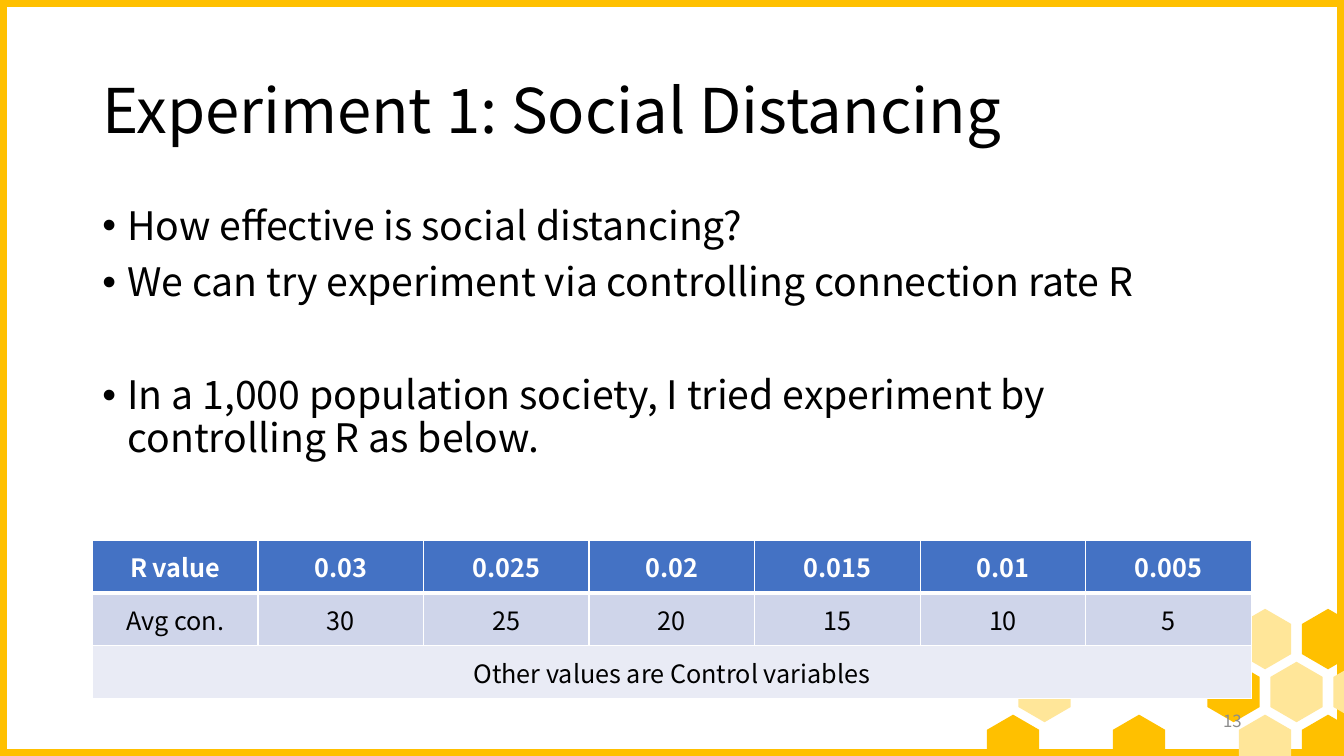
from dataclasses import dataclass

from pptx import Presentation
from pptx.dml.color import RGBColor as RGB
from pptx.enum.shapes import MSO_SHAPE as Shape
from pptx.enum.text import MSO_ANCHOR as Anchor, PP_ALIGN as Align
from pptx.oxml.ns import qn
from pptx.util import Pt
from lxml.etree import SubElement


@dataclass(frozen=True)
class Theme:
    font: str = "Noto Sans CJK KR"
    text: str = "000000"
    white: str = "FFFFFF"
    muted: str = "8C8C8C"
    honey: str = "FFC000"
    wax: str = "FFE699"
    header: str = "4472C4"
    band: str = "CFD5EA"
    pale: str = "E9EBF5"
    title_size: int = 44
    body_size: int = 28
    table_size: int = 18
    number_size: int = 12


class SlideBuilder:
    """Draws styled elements on the current slide, with lengths in points."""

    def __init__(self, slide, theme):
        self.s = slide
        self.theme = theme

    def run(self, p, text, size, color, bold=False):
        r = p.add_run()
        r.text = text
        r.font.name = self.theme.font
        r.font.size = Pt(size)
        r.font.bold = bold
        r.font.color.rgb = RGB.from_string(color)

    def textbox(self, x, y, w, h, anchor):
        tf = self.s.shapes.add_textbox(Pt(x), Pt(y), Pt(w), Pt(h)).text_frame
        tf.word_wrap = True
        tf.vertical_anchor = anchor
        return tf

    def line_of_text(self, text, box, size, color, align=Align.LEFT, spacing=1.0):
        p = self.textbox(*box, Anchor.MIDDLE).paragraphs[0]
        p.alignment = align
        p.line_spacing = spacing
        self.run(p, text, size, color)

    def bullets(self, items, box, indent=18):
        tf = self.textbox(*box, Anchor.TOP)
        for i, (text, before) in enumerate(items):
            p = tf.add_paragraph() if i else tf.paragraphs[0]
            pPr = p._p.get_or_add_pPr()
            pPr.set("marL", str(Pt(indent)))
            pPr.set("indent", str(-Pt(indent)))
            SubElement(pPr, qn("a:buFont"), typeface="Arial")
            SubElement(pPr, qn("a:buChar"), char="•")
            p.line_spacing = 0.9
            p.space_before = Pt(before)
            self.run(p, text, self.theme.body_size, self.theme.text)

    def frame(self, w, h, color, weight):
        sp = self.s.shapes.add_shape(Shape.RECTANGLE, 0, 0, Pt(w), Pt(h))
        sp.shadow.inherit = False
        sp.fill.background()
        sp.line.color.rgb = RGB.from_string(color)
        sp.line.width = Pt(weight)

    def hexagon(self, x, y, color):
        sp = self.s.shapes.add_shape(Shape.HEXAGON, Pt(x), Pt(y), Pt(43.2), Pt(37.4))
        sp.adjustments[0] = 0.29
        sp.rotation = 90
        sp.shadow.inherit = False
        sp.fill.solid()
        sp.fill.fore_color.rgb = RGB.from_string(color)
        sp.line.fill.background()

    def honeycomb(self, rows, x, y, half_step, row_step):
        for i, cells in enumerate(rows):
            for column, color in cells:
                self.hexagon(x + column * half_step, y - i * row_step, color)

    def cell(self, cell, text, fill, color, bold, edges):
        tcPr = cell._tc.get_or_add_tcPr()
        for side, weight in edges.items():
            ln = SubElement(tcPr, qn(f"a:ln{side}"), w=str(Pt(weight)))
            solid = SubElement(ln, qn("a:solidFill"))
            SubElement(solid, qn("a:srgbClr"), val=self.theme.white)
        cell.fill.solid()
        cell.fill.fore_color.rgb = RGB.from_string(fill)
        cell.vertical_anchor = Anchor.MIDDLE
        cell.margin_left = cell.margin_right = Pt(9.4)
        cell.margin_top = cell.margin_bottom = Pt(4.7)
        p = cell.text_frame.paragraphs[0]
        p.alignment = Align.CENTER
        if text:
            self.run(p, text, self.theme.table_size, color, bold)

    def table(self, rows, x, y, w, row_height):
        t = self.theme
        n_cols = len(rows[0])
        table = self.s.shapes.add_table(
            len(rows), n_cols, Pt(x), Pt(y), Pt(w), Pt(row_height * len(rows))).table
        for row in table.rows:
            row.height = Pt(row_height)
        for i, (values, fill) in enumerate(zip(rows, (t.header, t.band, t.pale))):
            is_header = i == 0
            color = t.white if is_header else t.text
            edges = {"L": 1, "R": 1, "T": 3 if i == 1 else 1, "B": 3 if is_header else 1}
            if len(values) == 1:
                table.cell(i, 0).merge(table.cell(i, n_cols - 1))
            for j in range(n_cols):
                text = values[j] if j < len(values) else ""
                self.cell(table.cell(i, j), text, fill, color, is_header, edges)


def main():
    t = Theme()
    prs = Presentation()
    prs.slide_width, prs.slide_height = Pt(960), Pt(540)
    s = SlideBuilder(prs.slides.add_slide(prs.slide_layouts[6]), t)

    s.frame(960, 540, t.honey, 10)
    comb = [
        [(10, t.honey), (8, t.wax), (4, t.honey), (0, t.honey)],
        [(11, t.wax), (9, t.wax), (7, t.honey), (1, t.wax)],
        [(10, t.honey), (8, t.wax), (4, t.honey)],
    ]
    s.honeycomb(comb, x=702, y=513.4, half_step=22.5, row_step=37.8)

    s.line_of_text("Experiment 1: Social Distancing", (66, 28.8, 828, 104.4),
                   t.title_size, t.text, spacing=0.9)
    s.bullets([
        ("How effective is social distancing?", 0),
        ("We can try experiment via controlling connection rate R", 10),
        ("In a 1,000 population society, I tried experiment by "
         "controlling R as below.", 50.5),
    ], (66, 144, 828, 342.7))
    s.table([
        ["R value", "0.03", "0.025", "0.02", "0.015", "0.01", "0.005"],
        ["Avg con.", "30", "25", "20", "15", "10", "5"],
        ["Other values are Control variables"],
    ], x=66, y=386, w=828, row_height=37.7)
    s.line_of_text("13", (678, 500.4, 216, 28.8), t.number_size, t.muted, Align.RIGHT)

    prs.save("out.pptx")


if __name__ == "__main__":
    main()
